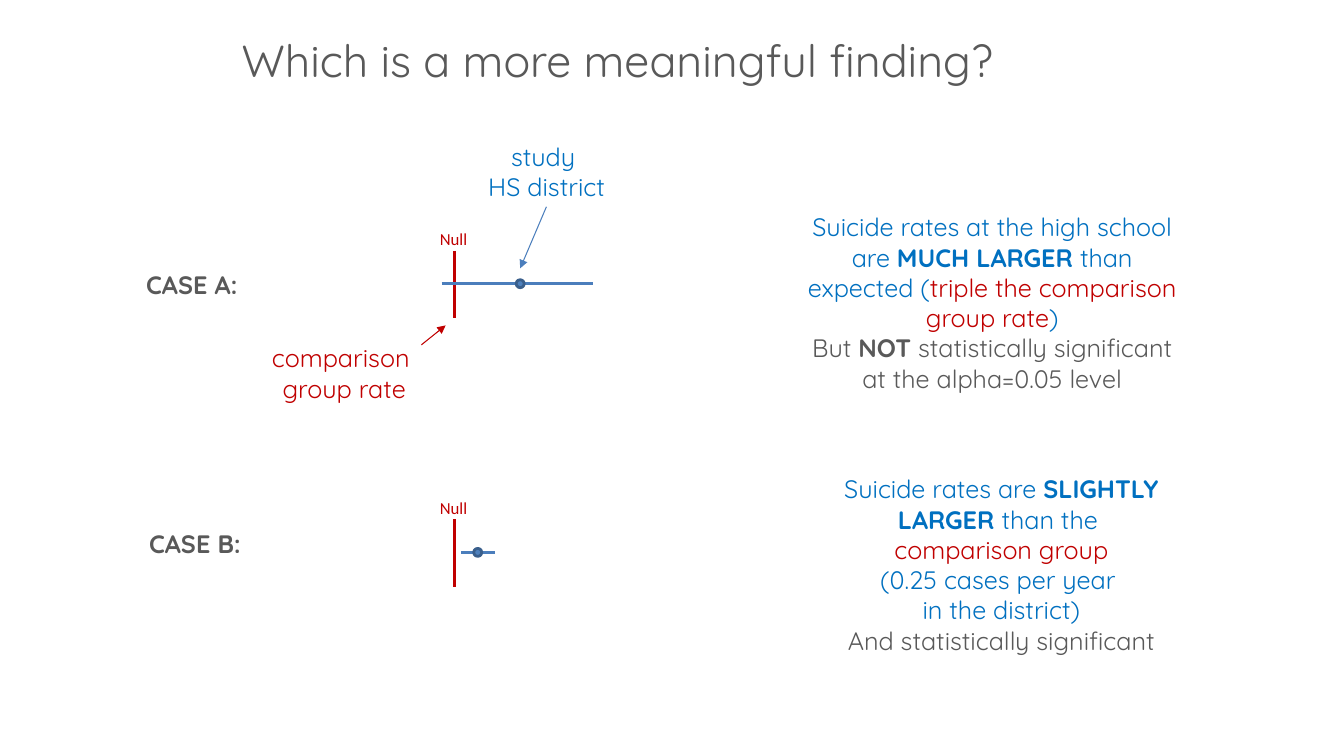
from dataclasses import dataclass

from lxml import etree
from pptx import Presentation
from pptx.dml import color
from pptx.enum import shapes, text
from pptx.oxml import ns
from pptx.util import Cm, Pt


@dataclass(frozen=True)
class Theme:
    gray: str = "595959"
    blue: str = "0070C0"
    red: str = "C00000"
    interval: str = "4B7EBC"
    dot: str = "4F81BD"
    dot_edge: str = "3A5F8C"
    font: str = "Quicksand"
    label_font: str = "Calibri"
    title_size: float = 32
    body_size: float = 18
    label_size: float = 12
    thick: float = 2
    thin: float = 0.75


THEME = Theme()

# Content: paragraphs are lists of (words, color, bold); lengths in cm
TITLE = [[("Which is a more meaningful finding?", THEME.gray, False)]]
NULL_LABEL = [[("Null", THEME.red, False)]]

CASES = [
    {
        "name": "CASE A:", "name_at": (-0.08, 6.65),
        "null_top": 6.32, "interval": (11.13, 14.94), "estimate": 13.11,
        "finding_at": (20.09, 5.21),
        "finding": [
            [("Suicide rates at the high school are ", THEME.blue, False),
             ("MUCH LARGER ", THEME.blue, True),
             ("than expected (", THEME.blue, False),
             ("triple the comparison group rate", THEME.red, False),
             (")\n", THEME.blue, False),
             ("But ", THEME.gray, False),
             ("NOT", THEME.gray, True),
             (" statistically significant", THEME.gray, False)],
            [("at the alpha=0.05 level", THEME.gray, False)],
        ],
    },
    {
        "name": "CASE B:", "name_at": (0, 13.18),
        "null_top": 13.09, "interval": (11.63, 12.47), "estimate": 12.04,
        "finding_at": (20.32, 11.81),
        "finding": [
            [("Suicide rates are ", THEME.blue, False),
             ("SLIGHTLY LARGER ", THEME.blue, True),
             ("than the \n", THEME.blue, False),
             ("comparison group", THEME.red, False)],
            [("(0.25 cases per year \nin the district)", THEME.blue, False)],
            [("And statistically significant", THEME.gray, False)],
        ],
    },
]

# Callouts: paragraphs, text position, arrow start, arrow end, arrow color
CALLOUTS = [
    ([[("comparison ", THEME.red, False)], [("group rate", THEME.red, False)]],
     (3.76, 8.51), (10.62, 8.69), (11.23, 8.2), THEME.red),
    ([[("study \nHS district", THEME.blue, False)]],
     (8.86, 3.43), (13.77, 5.21), (13.11, 6.76), THEME.interval),
]

# Layout
COLUMN_WIDTH = 9.83
NULL_X, NULL_LENGTH = 11.46, 1.7
NULL_LABEL_LEFT, NULL_LABEL_RISE = 10.82, 0.68
INTERVAL_DROP = 0.83
DOT_SIZE = 0.2


def rgb(value):
    return color.RGBColor.from_string(value)


def add_text(page, paragraphs, at, size, *, font=THEME.font,
             points=THEME.body_size, align=text.PP_ALIGN.CENTER, wrap=True):
    box = page.shapes.add_textbox(*map(Cm, at + size))
    frame = box.text_frame
    frame.word_wrap = wrap
    for index, spans in enumerate(paragraphs):
        para = frame.add_paragraph() if index else frame.paragraphs[0]
        para.alignment = align
        for words, ink, bold in spans:
            for row, line in enumerate(words.split("\n")):
                if row:
                    para.add_line_break()
                if line:
                    span = para.add_run()
                    span.text = line
                    span.font.name = font
                    span.font.size = Pt(points)
                    span.font.bold = bold
                    span.font.color.rgb = rgb(ink)
    return box


def add_line(page, start, end, ink, width, arrow=False):
    line = page.shapes.add_connector(
        shapes.MSO_CONNECTOR.STRAIGHT, *map(Cm, start + end))
    line.line.color.rgb = rgb(ink)
    line.line.width = Pt(width)
    if arrow:
        etree.SubElement(line.line._get_or_add_ln(), ns.qn("a:tailEnd"),
                         type="triangle")
    etree.SubElement(line._element.spPr, ns.qn("a:effectLst"))


def add_dot(page, x, y):
    corner = (x - DOT_SIZE / 2, y - DOT_SIZE / 2)
    dot = page.shapes.add_shape(
        shapes.MSO_SHAPE.OVAL, *map(Cm, corner + (DOT_SIZE, DOT_SIZE)))
    dot.shadow.inherit = False
    dot.fill.solid()
    dot.fill.fore_color.rgb = rgb(THEME.dot)
    dot.line.color.rgb = rgb(THEME.dot_edge)
    dot.line.width = Pt(THEME.thick)


def add_case(page, case):
    # Null line, confidence interval and estimate
    top = case["null_top"]
    middle = top + INTERVAL_DROP
    left, right = case["interval"]
    add_line(page, (NULL_X, top), (NULL_X, top + NULL_LENGTH),
             THEME.red, THEME.thick)
    add_line(page, (left, middle), (right, middle),
             THEME.interval, THEME.thick)
    add_dot(page, case["estimate"], middle)
    add_text(page, NULL_LABEL, (NULL_LABEL_LEFT, top - NULL_LABEL_RISE),
             (1.22, 0.77), font=THEME.label_font, points=THEME.label_size,
             wrap=False)
    # Name and finding
    add_text(page, [[(case["name"], THEME.gray, True)]], case["name_at"],
             (COLUMN_WIDTH, 1.02))
    add_text(page, case["finding"], case["finding_at"], (COLUMN_WIDTH, 4.88))


def main():
    deck = Presentation()
    deck.slide_width, deck.slide_height = Cm(33.87), Cm(19.05)
    page = deck.slides.add_slide(deck.slide_layouts[6])

    add_text(page, TITLE, (5.84, 0.71), (23.5, 1.63),
             points=THEME.title_size, align=text.PP_ALIGN.LEFT)
    for case in CASES:
        add_case(page, case)
    for paragraphs, at, start, end, ink in CALLOUTS:
        add_text(page, paragraphs, at, (COLUMN_WIDTH, 1.8))
        add_line(page, start, end, ink, THEME.thin, arrow=True)

    deck.save("out.pptx")


if __name__ == "__main__":
    main()
